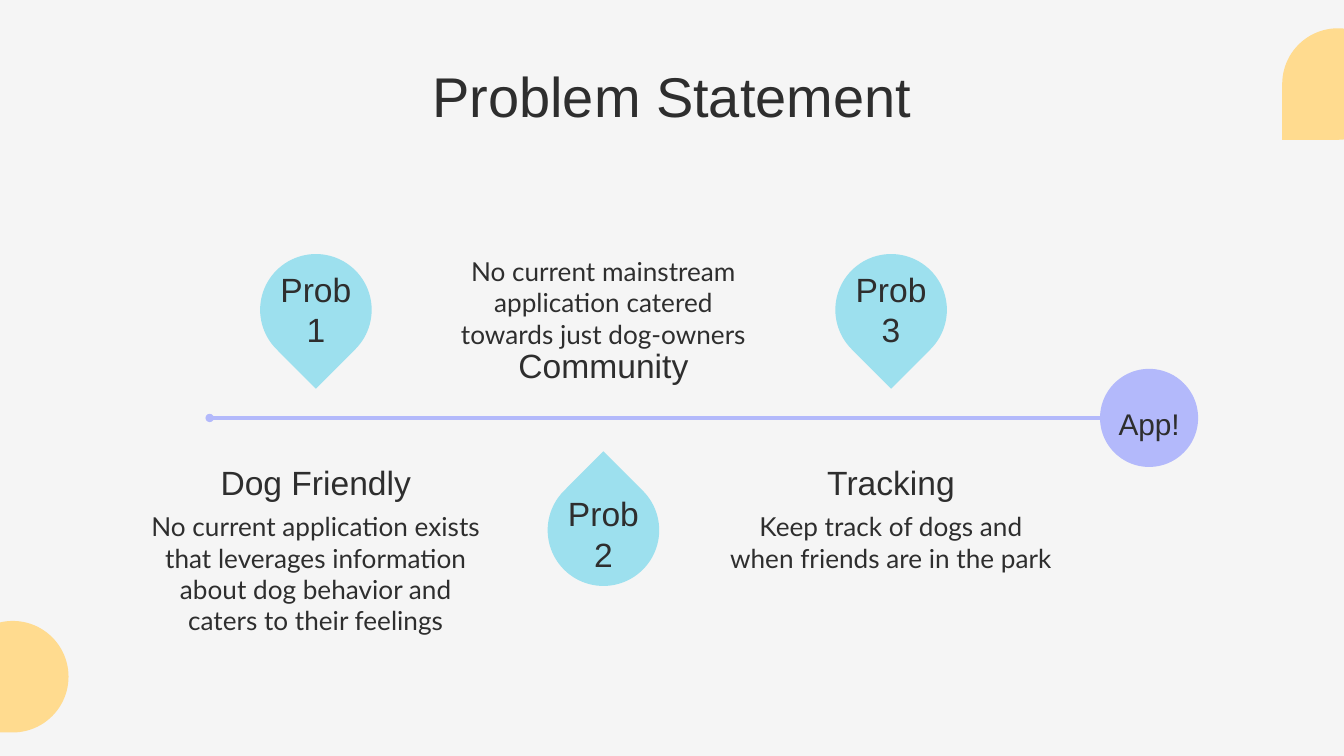
from lxml import etree
from pptx import Presentation
from pptx.dml.color import RGBColor
from pptx.enum import shapes, text
from pptx.oxml.ns import qn
from pptx.util import Inches, Pt

BACKGROUND = RGBColor(0xF5, 0xF5, 0xF5)
INK = RGBColor(0x2E, 0x2E, 0x2E)
YELLOW = RGBColor(0xFF, 0xDB, 0x8F)
AQUA = RGBColor(0x9D, 0xE0, 0xEE)
LILAC = RGBColor(0xB3, 0xB9, 0xFB)

# Content
TITLE = "Problem Statement"
GOAL = "App!"
PROBLEMS = [
    dict(label="Prob 1", label_width=0.82, heading="Dog Friendly", text_width=2.67, above=True,
         detail="No current application exists that leverages information "
                "about dog behavior and caters to their feelings"),
    dict(label="Prob 2", label_width=0.89, heading="Community", text_width=2.51, above=False,
         detail="No current mainstream application catered towards just dog-owners"),
    dict(label="Prob\n3", label_width=0.89, heading="Tracking", text_width=2.64, above=True,
         detail="Keep track of dogs and when friends are in the park"),
]

TOP, MIDDLE, BOTTOM = text.MSO_ANCHOR.TOP, text.MSO_ANCHOR.MIDDLE, text.MSO_ANCHOR.BOTTOM

# Layout in inches; "above" means the marker sits above the timeline
FIRST_CENTER, PITCH = 2.35, 2.14
LINE_Y, LINE_START, LINE_END = 3.11, 1.56, 8.46
DROP, GOAL_SIZE, GOAL_CENTER = 0.83, 0.73, 8.55
HEADING_WIDTH, LABEL_HEIGHT = 2.67, 0.3
ROWS = {
    True: dict(drop=1.89, turn=135, label=2.15, heading=3.29,
               detail=3.7, detail_height=1.03, anchor=TOP),
    False: dict(drop=3.53, turn=315, label=3.82, heading=2.42,
                detail=1.32, detail_height=1.38, anchor=BOTTOM),
}
CORNERS = [(-0.32, 4.62), (9.54, 0.21)]

# Wide 16:9 slide
prs = Presentation()
prs.slide_width = Inches(10)
prs.slide_height = Inches(10 * 9 / 16)
slide = prs.slides.add_slide(prs.slide_layouts[6])
slide.background.fill.solid()
slide.background.fill.fore_color.rgb = BACKGROUND


def add_plain(preset, left, top, size, color, turn=0):
    shape = slide.shapes.add_shape(preset, Inches(left), Inches(top), Inches(size), Inches(size))
    shape.rotation = turn
    shape.shadow.inherit = False
    shape.fill.solid()
    shape.fill.fore_color.rgb = color
    shape.line.fill.background()


def add_words(words, center, top, width, height, size, font="Arial", anchor=TOP, spacing=1.0):
    box = slide.shapes.add_textbox(Inches(center - width / 2), Inches(top),
                                   Inches(width), Inches(height))
    frame = box.text_frame
    frame.word_wrap = True
    frame.vertical_anchor = anchor
    frame.margin_left = frame.margin_right = Inches(0.1)
    frame.margin_top = frame.margin_bottom = Inches(0.1)
    frame.text = words
    for paragraph in frame.paragraphs:
        paragraph.alignment = text.PP_ALIGN.CENTER
        paragraph.line_spacing = spacing
        for run in paragraph.runs:
            run.font.name = font
            run.font.size = Pt(size)
            run.font.color.rgb = INK


# Corner decoration and title
for left, top in CORNERS:
    add_plain(shapes.MSO_SHAPE.TEAR, left, top, DROP, YELLOW, 180)
add_words(TITLE, 5, 0.36, 7.01, 0.69, 30)

# Timeline with small round ends
timeline = slide.shapes.add_connector(shapes.MSO_CONNECTOR.STRAIGHT, Inches(LINE_END),
                                      Inches(LINE_Y), Inches(LINE_START), Inches(LINE_Y))
timeline.line.color.rgb = LILAC
timeline.line.width = Pt(2.25)
outline = timeline.line._get_or_add_ln()
for end in ("a:headEnd", "a:tailEnd"):
    etree.SubElement(outline, qn(end), type="oval", w="sm", len="sm")
etree.SubElement(timeline._element.spPr, qn("a:effectLst"))

# Problems: marker, label, heading and detail
for i, problem in enumerate(PROBLEMS):
    center = FIRST_CENTER + i * PITCH
    row = ROWS[problem["above"]]
    add_plain(shapes.MSO_SHAPE.TEAR, center - DROP / 2, row["drop"], DROP, AQUA, row["turn"])
    add_words(problem["label"], center, row["label"], problem["label_width"], LABEL_HEIGHT,
              18, anchor=MIDDLE)
    add_words(problem["heading"], center, row["heading"], HEADING_WIDTH, 0.3, 18, spacing=1.15)
    add_words(problem["detail"], center, row["detail"], problem["text_width"],
              row["detail_height"], 14, font="Lato", anchor=row["anchor"])

# Goal at the end of the timeline
add_plain(shapes.MSO_SHAPE.OVAL, GOAL_CENTER - GOAL_SIZE / 2, LINE_Y - GOAL_SIZE / 2,
          GOAL_SIZE, LILAC)
add_words(GOAL, GOAL_CENTER, 2.95, 0.89, 0.37, 16, anchor=MIDDLE, spacing=1.15)

prs.save("out.pptx")
